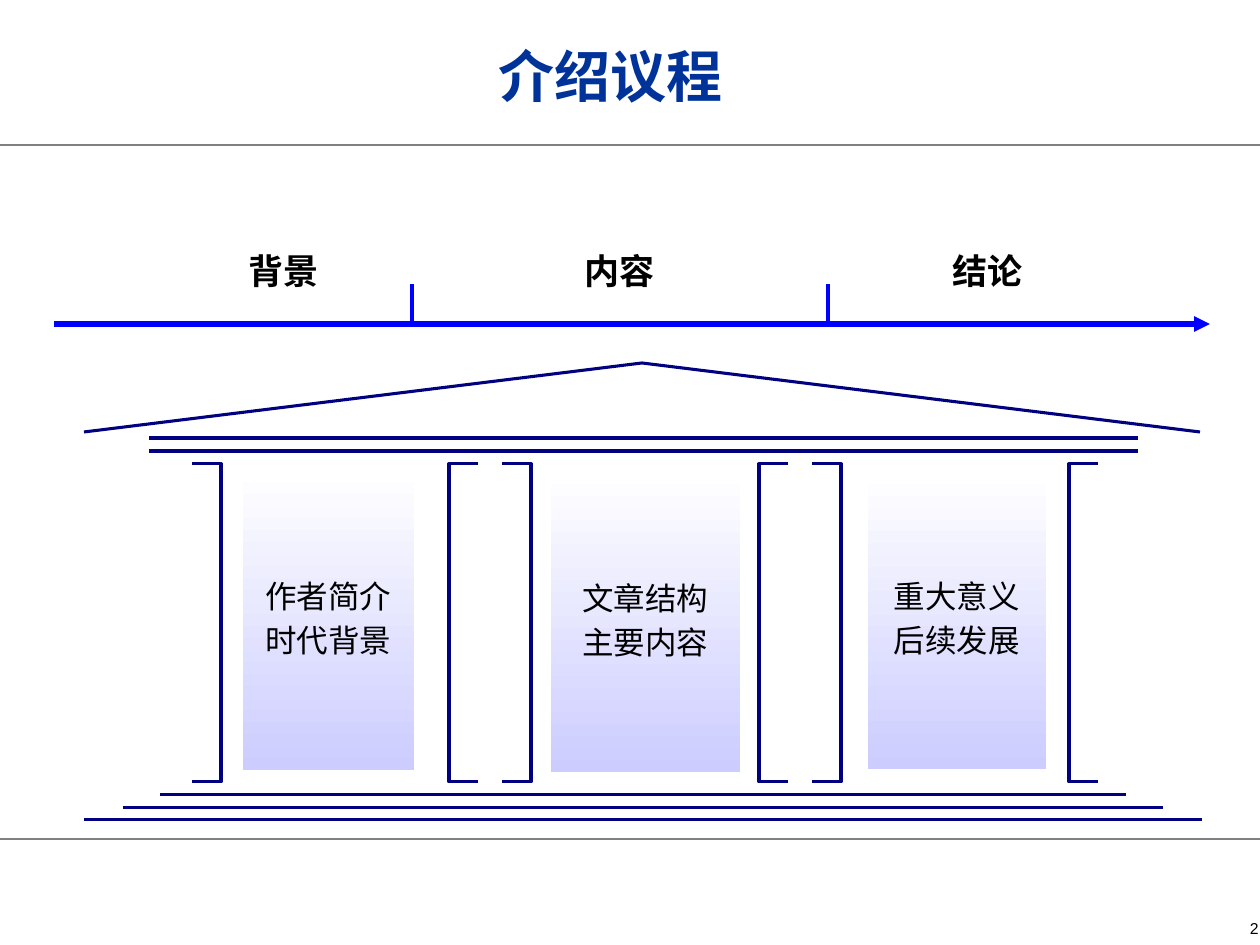
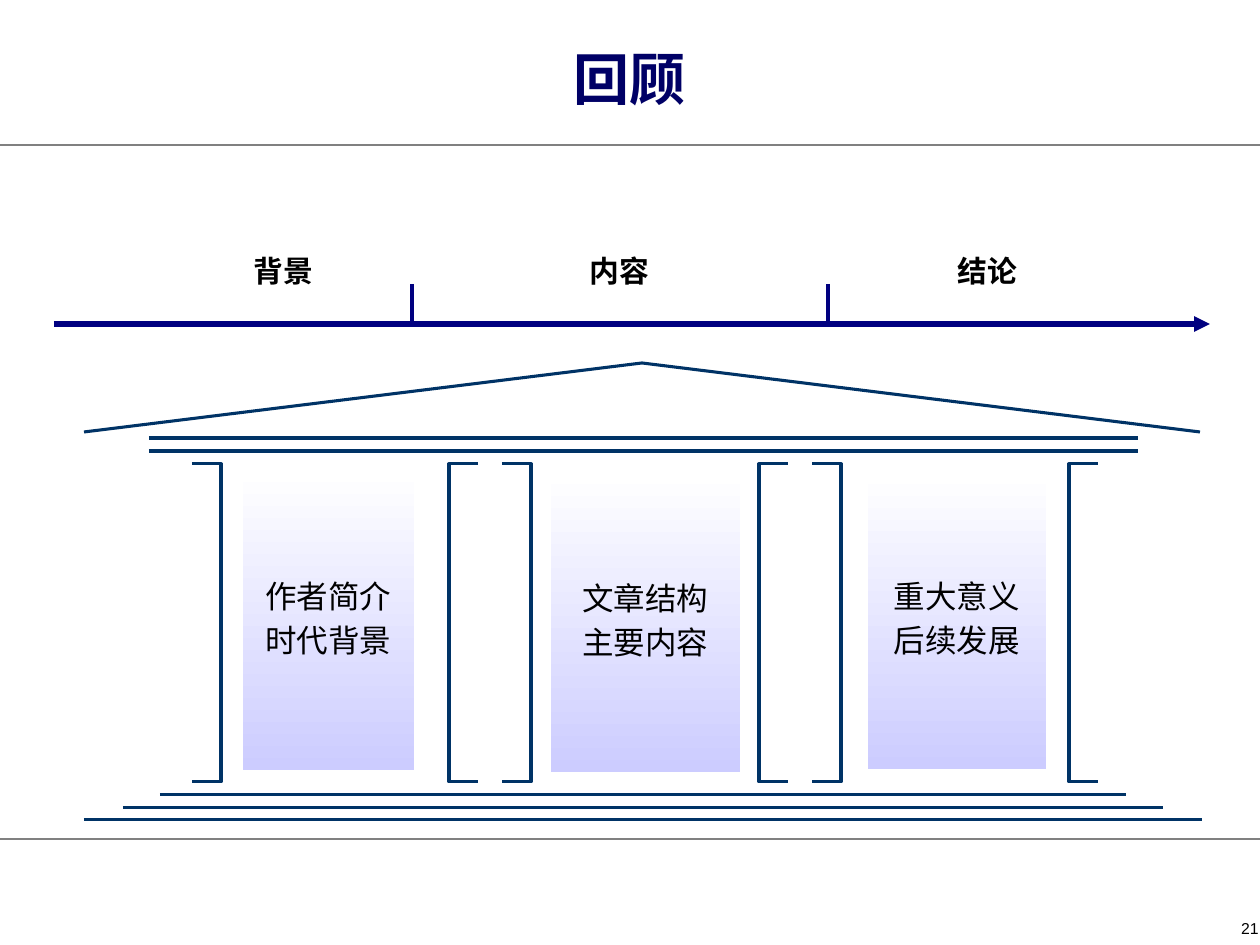
from collections import namedtuple
from lxml.etree import SubElement
from pptx import Presentation
from pptx.dml.color import RGBColor
from pptx.enum.shapes import MSO_CONNECTOR, MSO_SHAPE
from pptx.enum.text import MSO_ANCHOR, PP_ALIGN
from pptx.oxml.ns import qn
from pptx.util import Pt

SCALE = 914400 // 126
PAGE_WIDTH, PAGE_HEIGHT = 1260, 945
FONT = "Arial"
WHITE = RGBColor(0xFF, 0xFF, 0xFF)
BLACK = RGBColor(0x00, 0x00, 0x00)
GRAY = RGBColor(0x80, 0x80, 0x80)
LAVENDER = RGBColor(0xCC, 0xCC, 0xFF)
BLUE = RGBColor(0x00, 0x00, 0xFF)
NAVY = RGBColor(0x00, 0x00, 0x80)
STEEL = RGBColor(0x00, 0x33, 0x66)
ROYAL = RGBColor(0x00, 0x33, 0x99)
MIDNIGHT = RGBColor(0x00, 0x00, 0x66)

Box = namedtuple("Box", "left top width height")
TIMELINE = Box(54, 244, 1156, 80)
TEMPLE = Box(84, 363, 1118, 457)

STAGES = [("背景", 130), ("内容", 466), ("结论", 834)]
PANELS = [
    (Box(159, 107, 171, 300), ["作者简介", "时代背景"]),
    (Box(467, 109, 189, 300), ["文章结构", "主要内容"]),
    (Box(784, 109, 178, 297), ["重大意义", "后续发展"]),
]
BEAMS = [(65, 1054, 75), (65, 1054, 88), (76, 1042, 432), (39, 1079, 445), (0, 1118, 457)]


def emu(*pixels):
    """Turn pixel lengths into whole EMU."""
    return [round(pixel * SCALE) for pixel in pixels]


def add_line(shapes, start, end, color, weight):
    """Draw a straight line without a shadow."""
    line = shapes.add_connector(MSO_CONNECTOR.STRAIGHT, *emu(*start, *end))
    line.line.color.rgb = color
    line.line.width = Pt(weight)
    SubElement(line._element.spPr, qn("a:effectLst"))
    return line


def add_outline(shapes, points, color):
    """Draw an open, unfilled polyline."""
    start, *others = [emu(*point) for point in points]
    builder = shapes.build_freeform(*start)
    builder.add_line_segments(others, close=False)
    outline = builder.convert_to_shape()
    outline.shadow.inherit = False
    outline.fill.background()
    outline.line.color.rgb = color
    outline.line.width = Pt(1.76)


def write(frame, lines, size, color=BLACK, bold=False, align=PP_ALIGN.CENTER):
    """Write one paragraph for each line and return the paragraphs."""
    frame.text = "\n".join(lines)
    for para in frame.paragraphs:
        para.alignment = align
        para.font.name = FONT
        para.font.size = Pt(size)
        para.font.bold = bold
        para.font.color.rgb = color
    return frame.paragraphs


def add_frame(page, number):
    """Draw the two rules and the page number."""
    for y in (145, 839):
        add_line(page.shapes, (0, y), (PAGE_WIDTH, y), GRAY, 0.74)
    frame = page.shapes.add_textbox(*emu(1174, 915, 97, 29)).text_frame
    frame.word_wrap = False
    for para in write(frame, [number], 9, align=PP_ALIGN.RIGHT):
        para.line_spacing = 0.9


def add_title(page, box, title, color):
    """Write the slide title."""
    frame = page.shapes.add_textbox(*emu(*box)).text_frame
    frame.word_wrap = True
    write(frame, [title], 32, color, bold=True)


def add_timeline(page, box, color, label_size):
    """Draw the arrow with its divisions and stage labels."""
    bottom = box.top + box.height
    arrow = add_line(page.shapes, (box.left, bottom), (box.left + box.width, bottom), color, 3)
    SubElement(arrow._element.spPr.find(qn("a:ln")), qn("a:tailEnd"), type="triangle")
    for offset in (358, 774):
        x = box.left + offset
        add_line(page.shapes, (x, box.top + 40), (x, bottom - 1), color, 2.24)
    for label, offset in STAGES:
        frame = page.shapes.add_textbox(*emu(box.left + offset, box.top, 199, 53)).text_frame
        frame.word_wrap = False
        frame.vertical_anchor = MSO_ANCHOR.MIDDLE
        write(frame, [label], label_size, bold=True)


def add_temple(page, box, color):
    """Draw the roof, beams, steps and three bracketed bays."""
    shapes = page.shapes.add_group_shape().shapes
    eaves = box.top + 69
    roof = [(box.left, eaves), (box.left + 558, box.top), (box.left + 1116, eaves)]
    add_outline(shapes, roof, color)
    for start, end, offset in BEAMS:
        y = box.top + offset
        add_line(shapes, (box.left + start, y), (box.left + end, y), color, 1.76)
    top, bottom = box.top + 101, box.top + 419
    lip, bay_width, bay_pitch = 29, 286, 310
    for bay in range(3):
        left = box.left + 108 + bay * bay_pitch
        right = left + bay_width
        for tip, post in ((left, left + lip), (right, right - lip)):
            add_outline(shapes, [(tip, top), (post, top), (post, bottom), (tip, bottom)], color)


def add_panel(page, box, lines):
    """Draw a gradient panel with centred lines."""
    panel = page.shapes.add_shape(MSO_SHAPE.RECTANGLE, *emu(*box))
    panel.shadow.inherit = False
    panel.line.fill.background()
    panel.fill.gradient()
    panel.fill.gradient_angle = 270
    for stop, color, position in zip(panel.fill.gradient_stops, (WHITE, LAVENDER), (0, 1)):
        stop.color.rgb = color
        stop.position = position
    frame = panel.text_frame
    frame.word_wrap = False
    frame.vertical_anchor = MSO_ANCHOR.MIDDLE
    frame.margin_left = frame.margin_right = frame.margin_top = frame.margin_bottom = 0
    for para in write(frame, lines, 18):
        para.line_spacing = 0.9
        para.space_before = Pt(5.6)


def add_agenda_slide(deck, number, title, title_box, title_color, arrow_color, label_size, temple_color):
    """Build one slide with the timeline over the temple."""
    page = deck.slides.add_slide(deck.slide_layouts[6])
    add_frame(page, number)
    add_timeline(page, TIMELINE, arrow_color, label_size)
    add_temple(page, TEMPLE, temple_color)
    for box, lines in PANELS:
        place = box._replace(left=TEMPLE.left + box.left, top=TEMPLE.top + box.top)
        add_panel(page, place, lines)
    add_title(page, title_box, title, title_color)


deck = Presentation()
deck.slide_width, deck.slide_height = emu(PAGE_WIDTH, PAGE_HEIGHT)
add_agenda_slide(deck, "2", "介绍议程", Box(44, 35, 1134, 158), ROYAL, BLUE, 20, NAVY)
add_agenda_slide(deck, "21", "回顾", Box(63, 38, 1134, 158), MIDNIGHT, NAVY, 17, STEEL)
deck.save("out.pptx")
